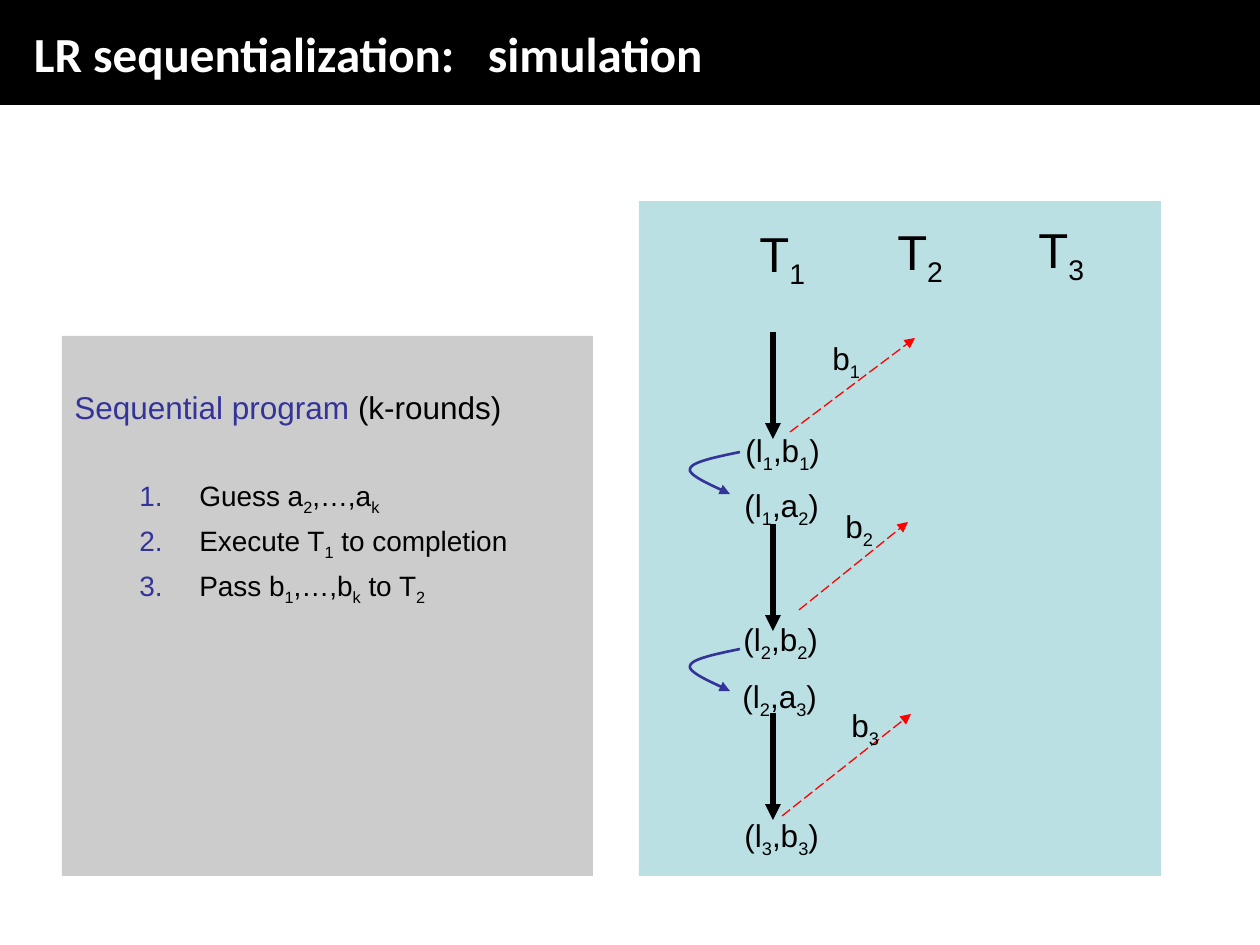
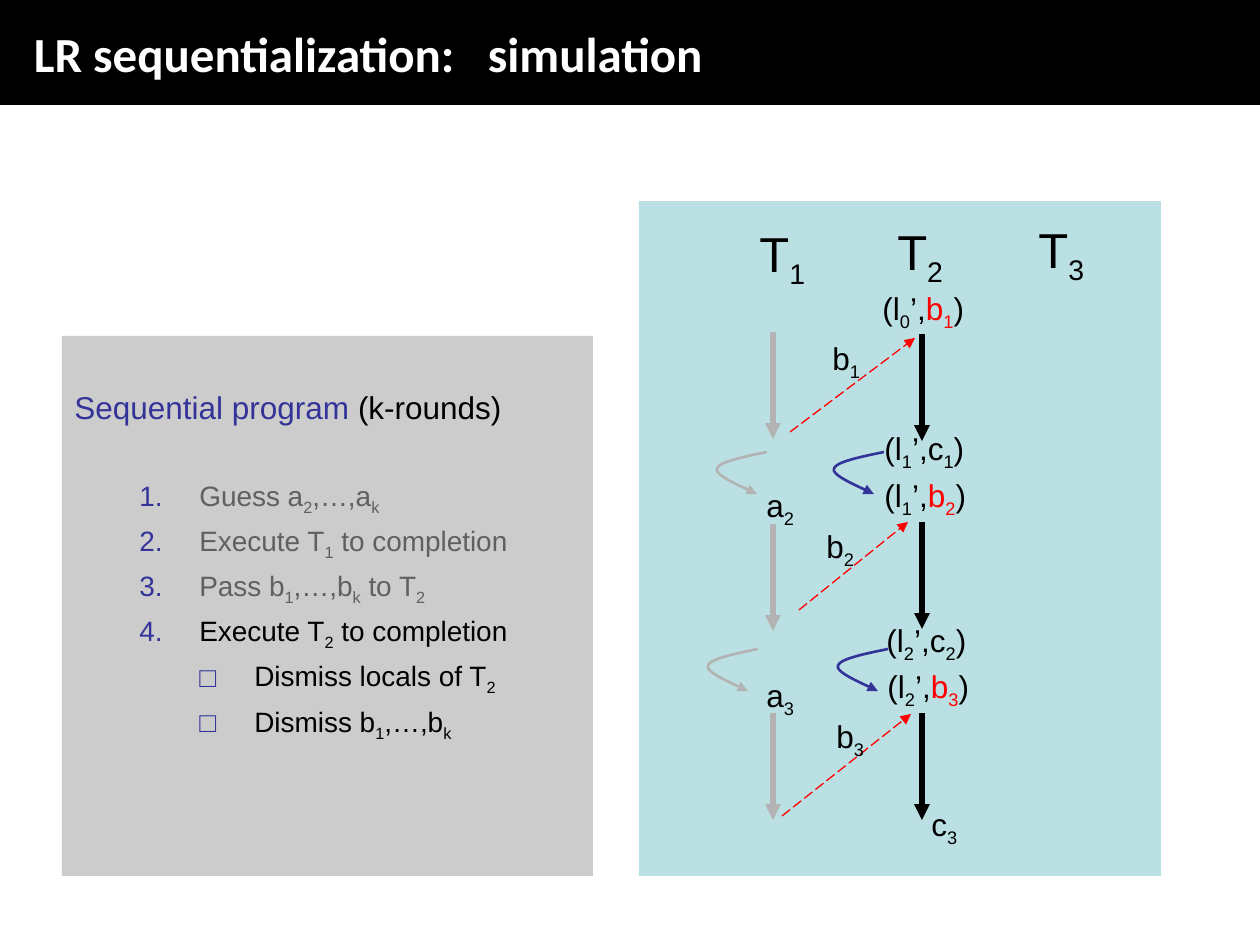
from lxml.etree import SubElement
from pptx import Presentation
from pptx.dml.color import RGBColor
from pptx.enum.dml import MSO_LINE
from pptx.enum.shapes import MSO_CONNECTOR, MSO_SHAPE
from pptx.enum.text import MSO_ANCHOR, MSO_AUTO_SIZE, PP_ALIGN
from pptx.oxml.ns import qn
from pptx.util import Pt

BLACK = RGBColor(0x00, 0x00, 0x00)
WHITE = RGBColor(0xFF, 0xFF, 0xFF)
RED = RGBColor(0xFF, 0x00, 0x00)
INDIGO = RGBColor(0x33, 0x33, 0x99)
AQUA = RGBColor(0xBB, 0xE0, 0xE3)
PANEL_GRAY = RGBColor(0xCC, 0xCC, 0xCC)
DONE_GRAY = RGBColor(0x60, 0x60, 0x60)
PAST_GRAY = RGBColor(0xB3, 0xB3, 0xB3)

TITLE = "LR sequentialization:\tsimulation"
HEADING = "*Sequential program* (k-rounds)"
FIRST_STEPS = ["Guess a_2,…,a_k", "Execute T_1 to completion", "Pass b_1,…,b_k to T_2"]
THREADS = [("T_1", 747, 217), ("T_2", 885, 215), ("T_3", 1026, 213)]
HANDOVERS = [(790, 432, 915, 338), (799, 610, 908, 522), (782, 816, 911, 714)]
T1_RUNS = [(773, 332), (773, 524), (773, 713)]
T2_RUNS = [(922, 334), (922, 522), (922, 713)]
RUN_LENGTH = 107
LOOP_CURVES = [
    [(0, 0), (-24, 5), (-49, 10), (-50, 17)],
    [(-50, 17), (-53, 24), (-17, 38), (-10, 42)],
]
CURVE_STEPS = 12

SLIDES = [
    {
        "steps": [(step, 1, BLACK) for step in FIRST_STEPS],
        "runs": [(BLACK, T1_RUNS)],
        "loops": [(INDIGO, [(740, 452), (740, 649)])],
        "labels": [
            (101, [("(l_1,b_1)", 733, 425), ("(l_1,a_2)", 732, 480), ("(l_2,b_2)", 731, 614),
                   ("(l_2,a_3)", 730, 671), ("(l_3,b_3)", 732, 810)]),
            (55, [("b_1", 820, 333), ("b_2", 833, 501), ("b_3", 839, 700)]),
        ],
    },
    {
        "steps": [(step, 1, DONE_GRAY) for step in FIRST_STEPS] + [
            ("Execute T_2 to completion", 1, BLACK),
            ("Dismiss locals of T_2", 2, BLACK),
            ("Dismiss b_1,…,b_k", 2, BLACK),
        ],
        "runs": [(PAST_GRAY, T1_RUNS), (BLACK, T2_RUNS)],
        "loops": [
            (PAST_GRAY, [(767, 452), (758, 649)]),
            (INDIGO, [(884, 452), (888, 649)]),
        ],
        "labels": [
            (55, [("a_2", 754, 480), ("a_3", 754, 670), ("b_1", 820, 333),
                  ("b_2", 814, 521), ("b_3", 824, 711), ("c_3", 919, 799)]),
            (106, [("(l_1’,c_1)", 872, 423), ("(l_2’,c_2)", 874, 615)]),
            (108, [("(l_0’,*b_1*)", 870, 283), ("(l_1’,*b_2*)", 872, 470),
                   ("(l_2’,*b_3*)", 875, 661)]),
        ],
    },
]

BULLETS = {
    1: (125, -60, "a:buAutoNum", {"type": "arabicPeriod"}),
    2: (180, -55, "a:buChar", {"char": "□"}),
}


def px(length):
    return round(length * 914400 / 126)


def set_font(paragraph, size, color, name="Arial", bold=False):
    font = paragraph.font
    font.size, font.name, font.bold = Pt(size), name, bold
    font.color.rgb = color


def write_marked(paragraph, text, accent):
    for index, stretch in enumerate(text.split("*")):
        pieces = stretch.split("_")
        spans = [(pieces[0], False)]
        for piece in pieces[1:]:
            spans += [(piece[0], True), (piece[1:], False)]
        for words, lowered in spans:
            if words:
                span = paragraph.add_run()
                span.text = words
                if index % 2:
                    span.font.color.rgb = accent
                if lowered:
                    span.font._element.set("baseline", "-25000")


def add_panel(page, left, top, width, height, color):
    panel = page.shapes.add_shape(MSO_SHAPE.RECTANGLE, px(left), px(top), px(width), px(height))
    panel.shadow.inherit = False
    panel.fill.solid()
    panel.fill.fore_color.rgb = color
    panel.line.fill.background()
    return panel


def add_title(page):
    frame = add_panel(page, 0, 0, 1260, 105, BLACK).text_frame
    frame.margin_left = px(34)
    frame.vertical_anchor = MSO_ANCHOR.MIDDLE
    para = frame.paragraphs[0]
    para.text = TITLE
    para.alignment = PP_ALIGN.LEFT
    tabs = SubElement(para._p.get_or_add_pPr(), qn("a:tabLst"))
    SubElement(tabs, qn("a:tab"), pos=str(px(454)), algn="l")
    set_font(para, 28, WHITE, "Calibri", True)


def add_bullet(para, level):
    margin, indent, tag, values = BULLETS[level]
    para.level = level
    props = para._p.get_or_add_pPr()
    props.set("marL", str(px(margin)))
    props.set("indent", str(px(indent)))
    tint = SubElement(props, qn("a:buClr"))
    SubElement(tint, qn("a:srgbClr"), val=str(INDIGO))
    SubElement(props, qn("a:buFont"), typeface="Arial")
    SubElement(props, qn(tag), **values)


def add_program(page, steps):
    frame = add_panel(page, 62, 336, 531, 540, PANEL_GRAY).text_frame
    frame.word_wrap = True
    frame.vertical_anchor = MSO_ANCHOR.TOP
    frame.margin_top = px(52)
    heading = frame.paragraphs[0]
    heading.alignment = PP_ALIGN.LEFT
    set_font(heading, 18, BLACK)
    write_marked(heading, HEADING, INDIGO)
    for index, (text, level, color) in enumerate(steps):
        para = frame.add_paragraph()
        add_bullet(para, level)
        para.alignment = PP_ALIGN.LEFT
        para.space_before = Pt(4 if index else 30)
        set_font(para, 16, color)
        write_marked(para, text, RED)


def add_label(page, text, left, top, width, height, size):
    box = page.shapes.add_textbox(px(left), px(top), px(width), px(height))
    frame = box.text_frame
    frame.word_wrap = False
    frame.auto_size = MSO_AUTO_SIZE.SHAPE_TO_FIT_TEXT
    para = frame.paragraphs[0]
    set_font(para, size, BLACK)
    write_marked(para, text, RED)


def style_arrow(shape, color, weight, dash=None):
    shape.line.color.rgb = color
    shape.line.width = Pt(weight)
    if dash:
        shape.line.dash_style = dash
    props = shape._element.spPr
    SubElement(props.find(qn("a:ln")), qn("a:tailEnd"), type="triangle")
    SubElement(props, qn("a:effectLst"))


def add_arrow(page, ends, color, weight, dash=None):
    arrow = page.shapes.add_connector(MSO_CONNECTOR.STRAIGHT, *map(px, ends))
    style_arrow(arrow, color, weight, dash)


def curve_point(curve, t):
    weights = ((1 - t) ** 3, 3 * t * (1 - t) ** 2, 3 * t * t * (1 - t), t ** 3)
    return [sum(w * point[axis] for w, point in zip(weights, curve)) for axis in (0, 1)]


def add_loop(page, left, top, color):
    points = []
    for curve in LOOP_CURVES:
        for step in range(1, CURVE_STEPS + 1):
            x, y = curve_point(curve, step / CURVE_STEPS)
            points.append((px(left + x), px(top + y)))
    builder = page.shapes.build_freeform(px(left), px(top))
    builder.add_line_segments(points, close=False)
    loop = builder.convert_to_shape()
    loop.fill.background()
    style_arrow(loop, color, 1.5)


def add_simulation(page, content):
    add_panel(page, 639, 201, 522, 675, AQUA)
    for ends in HANDOVERS:
        add_arrow(page, ends, RED, 0.75, MSO_LINE.LONG_DASH)
    for color, starts in content["runs"]:
        for x, y in starts:
            add_arrow(page, (x, y, x, y + RUN_LENGTH), color, 3)
    for color, starts in content["loops"]:
        for x, y in starts:
            add_loop(page, x, y, color)
    for text, left, top in THREADS:
        add_label(page, text, left, top, 75, 79, 28)
    for width, labels in content["labels"]:
        for text, left, top in labels:
            add_label(page, text, left, top, width, 55, 18)


def main():
    deck = Presentation()
    deck.slide_width, deck.slide_height = px(1260), px(945)
    for content in SLIDES:
        page = deck.slides.add_slide(deck.slide_layouts[6])
        add_title(page)
        add_simulation(page, content)
        add_program(page, content["steps"])
    deck.save("out.pptx")


if __name__ == "__main__":
    main()
